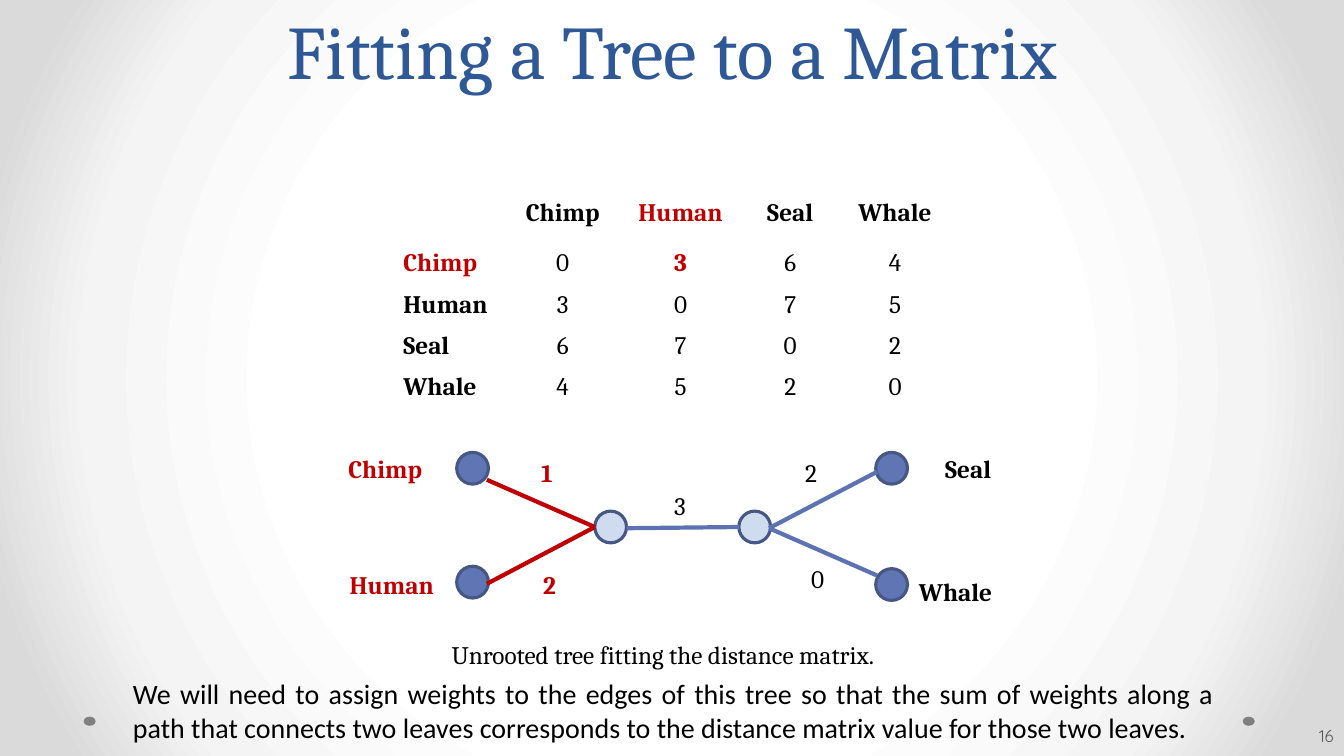
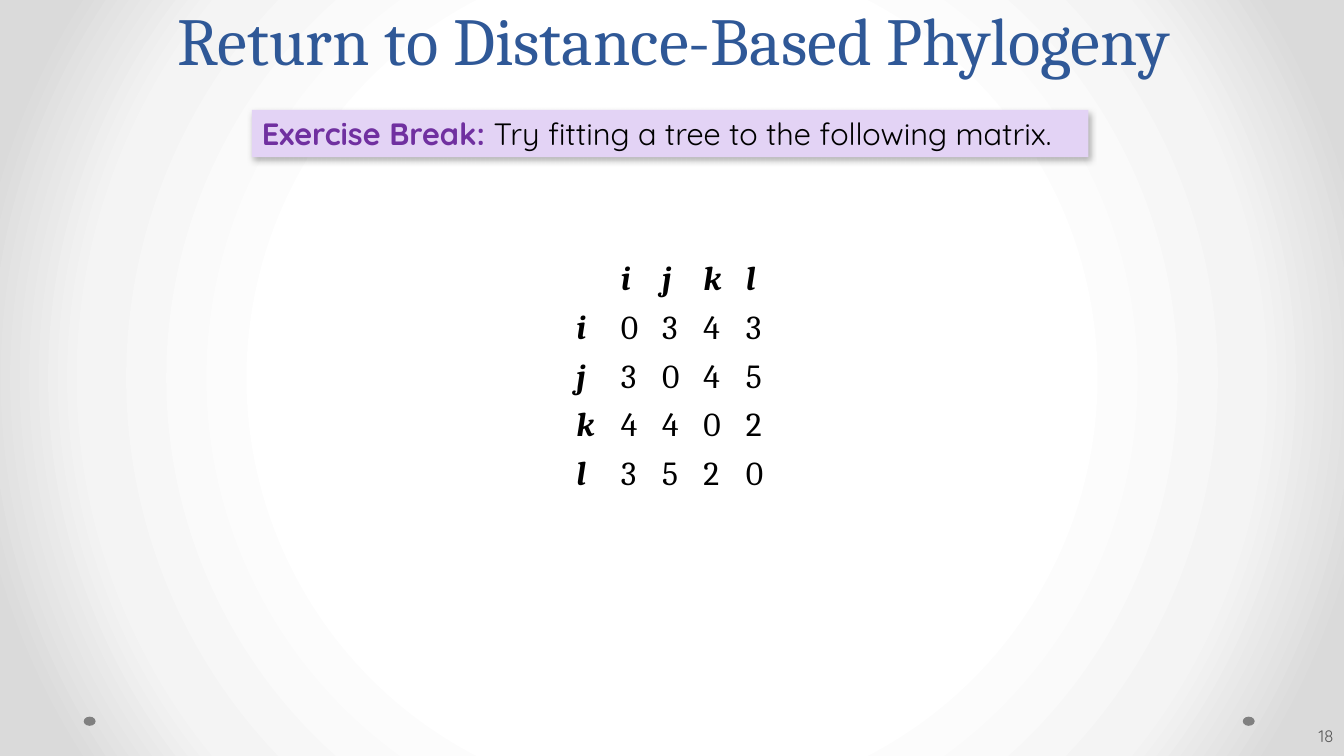
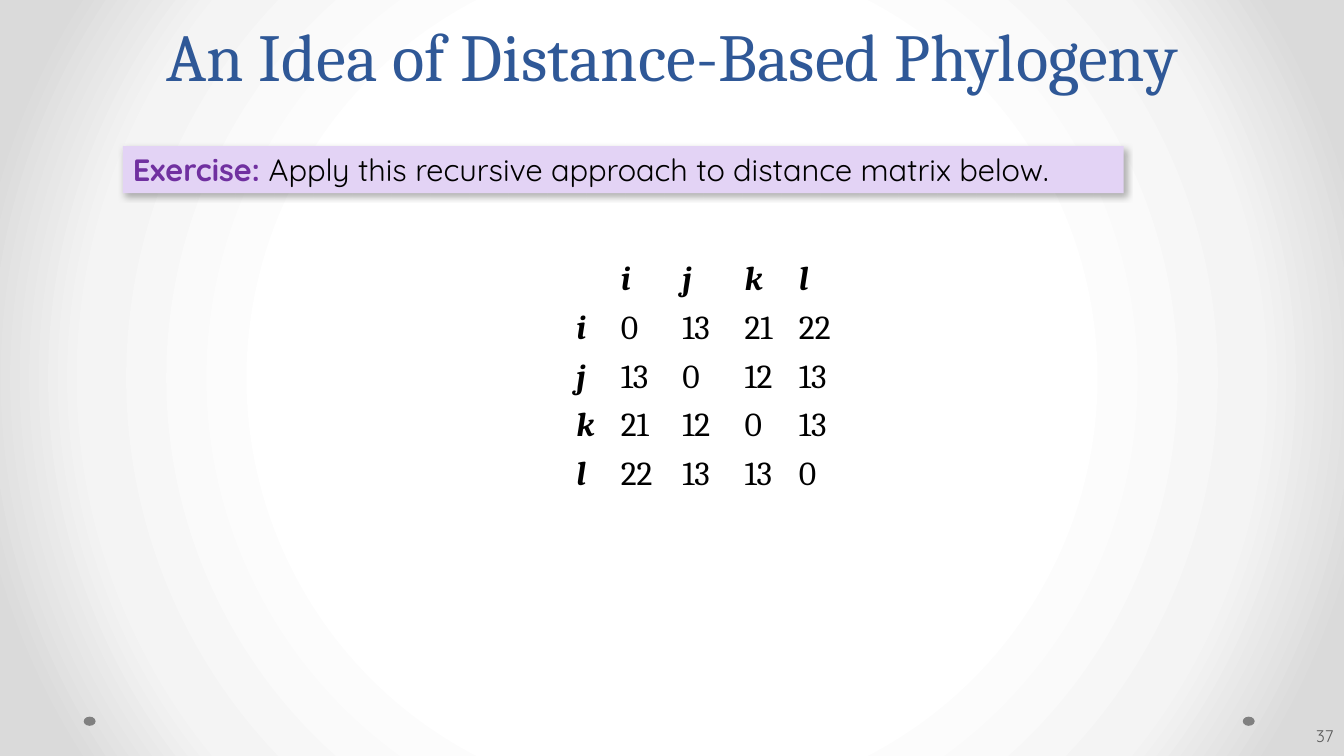
"""Build three slides on fitting trees to distance matrices."""
from dataclasses import dataclass
from typing import NamedTuple

from pptx import Presentation
from pptx.dml.color import RGBColor as Rgb
from pptx.enum.shapes import MSO_CONNECTOR as Link, MSO_SHAPE as Form
from pptx.enum.text import MSO_ANCHOR as Anchor, MSO_AUTO_SIZE as Fit, PP_ALIGN as Align
from pptx.oxml import parse_xml
from pptx.oxml.ns import nsdecls, qn
from pptx.util import Cm, Pt


@dataclass(frozen=True)
class Theme:
    serif: str = "Cambria"
    sans: str = "Quicksand"
    plain: str = "Calibri"
    black: str = "000000"
    red: str = "C00000"
    title: str = "2F5897"
    edge: str = "5C72B2"
    leaf: str = "6076B4"
    inner: str = "CFDCF0"
    rim: str = "475785"
    panel: str = "E3D3F5"
    purple: str = "7030A0"
    dot: str = "808080"
    page: str = "595959"
    glow: tuple = ((50, "FFFFFF"), (76, "F4F4F4"), (92, "DADADA"))
    small: int = 12
    label: int = 18
    note: int = 20
    task: int = 22
    cell: int = 24
    head: int = 48
    big: int = 54
    lead: int = 58
    grid: str = "{2D5ABB26-0587-4C30-8999-92F81FD0307C}"


T = Theme()


class Box(NamedTuple):
    left: float
    top: float
    width: float
    height: float

    def cm(self) -> tuple:
        return tuple(Cm(side) for side in self)


class Node(NamedTuple):
    left: float
    top: float
    fill: str


class Edge(NamedTuple):
    start: tuple
    end: tuple
    tint: str


class Label(NamedTuple):
    text: str
    left: float
    top: float
    width: float = 0.84
    tint: str = T.black
    bold: bool = False


class Matrix(NamedTuple):
    names: tuple
    rows: tuple
    left: float
    top: float
    widths: tuple
    heights: tuple
    size: int = T.cell
    slant: bool = True
    align: Align = Align.LEFT
    marks: tuple = ()


class Task(NamedTuple):
    title: str
    place: Box
    lead: str
    text: str
    panel: Box
    matrix: Matrix
    number: str


HIGH = Box(1.7, 0.03, 30.48, 2.49)
NODE = 0.8
LINE = 1.02
LEFT_HUB, LEFT_OUT = (14.99, 13.28), (15.8, 13.31)
RIGHT_IN, RIGHT_HUB = (18.62, 13.28), (19.38, 13.31)

NODES = (
    Node(11.51, 11.4, T.leaf), Node(11.51, 14.27, T.leaf),
    Node(14.99, 12.88, T.inner), Node(18.62, 12.88, T.inner),
    Node(22.07, 11.4, T.leaf), Node(22.07, 14.33, T.leaf),
)
EDGES = (
    Edge((12.27, 12.09), LEFT_HUB, T.red),
    Edge((12.27, 14.71), LEFT_HUB, T.red),
    Edge(RIGHT_HUB, (22.1, 14.5), T.edge),
    Edge(RIGHT_HUB, (22.1, 11.89), T.edge),
    Edge(LEFT_OUT, RIGHT_IN, T.edge),
)
LABELS = (
    Label("1", 13.39, 11.4, tint=T.red, bold=True),
    Label("3", 16.74, 12.22),
    Label("2", 13.44, 14.22, tint=T.red, bold=True),
    Label("2", 20.04, 11.4),
    Label("0", 20.19, 14.07),
    Label("Chimp", 8.53, 11.3, 2.54, T.red, True),
    Label("Human", 8.56, 14.22, 2.72, T.red, True),
    Label("Whale", 22.91, 14.4, 2.41, bold=True),
    Label("Seal", 23.57, 11.3, 1.75, bold=True),
)
ANIMALS = Matrix(
    ("Chimp", "Human", "Seal", "Whale"),
    ((0, 3, 6, 4), (3, 0, 7, 5), (6, 7, 0, 2), (4, 5, 2, 0)),
    9.91, 4.88, (2.72, 3.1, 2.84, 2.69, 2.59), (1.27,) + (1.04,) * 4,
    T.label, False, Align.CENTER, ((0, 2), (1, 0), (1, 2)),
)
TASKS = (
    Task(
        "Return to Distance-Based Phylogeny", Box(1.75, 0, 30.48, 2.11),
        "Exercise Break: ", "Try fitting a tree to the following matrix.",
        Box(6.35, 2.77, 21.08, 1.19),
        Matrix(
            tuple("ijkl"),
            ((0, 3, 4, 3), (3, 0, 4, 5), (4, 4, 0, 2), (3, 5, 2, 0)),
            14.27, 6.43, (1.12, 1.04, 1.04, 1.07, 1.12), (1.04,) * 5,
        ),
        "18",
    ),
    Task(
        "An Idea of Distance-Based Phylogeny", HIGH,
        "Exercise: ", "Apply this recursive approach to distance matrix below.",
        Box(3.1, 3.68, 25.22, 1.19),
        Matrix(
            tuple("ijkl"),
            ((0, 13, 21, 22), (13, 0, 12, 13), (21, 12, 0, 13), (22, 13, 13, 0)),
            14.27, 6.43, (1.12, 1.55, 1.57, 1.37, 1.37), (1.04,) * 5,
        ),
        "37",
    ),
)


def write(frame, text: str, *, size: int = T.label, font: str = T.serif,
          tint: str = T.black, bold: bool = False, slant: bool = False,
          align: Align = Align.LEFT) -> None:
    para = frame.paragraphs[0]
    para.alignment = align
    run = para.add_run()
    run.text = text
    run.font.size, run.font.name = Pt(size), font
    run.font.bold, run.font.italic = bold, slant
    run.font.color.rgb = Rgb.from_string(tint)


def add_text(shapes, box: Box, text: str, *, wrap: bool = False, **style):
    frame = shapes.add_textbox(*box.cm()).text_frame
    frame.word_wrap = wrap
    frame.auto_size = Fit.SHAPE_TO_FIT_TEXT
    write(frame, text, **style)
    return frame


def add_form(shapes, form: Form, box: Box, fill: str, rim: str = ""):
    shape = shapes.add_shape(form, *box.cm())
    shape.shadow.inherit = False
    shape.fill.solid()
    shape.fill.fore_color.rgb = Rgb.from_string(fill)
    if rim:
        shape.line.color.rgb = Rgb.from_string(rim)
        shape.line.width = Pt(2.25)
    else:
        shape.line.fill.background()
    return shape


def add_edge(shapes, edge: Edge) -> None:
    ends = (Cm(side) for side in edge.start + edge.end)
    line = shapes.add_connector(Link.STRAIGHT, *ends)
    line.line.color.rgb = Rgb.from_string(edge.tint)
    line.line.width = Pt(3)
    line.element.spPr.append(parse_xml(f"<a:effectLst {nsdecls('a')}/>"))


def add_matrix(shapes, data: Matrix) -> None:
    count = len(data.names) + 1
    box = Box(data.left, data.top, sum(data.widths), sum(data.heights))
    frame = shapes.add_table(count, count, *box.cm())
    for style in frame.element.iter(qn("a:tableStyleId")):
        style.text = T.grid
    table = frame.table
    table.first_row = table.horz_banding = False
    for column, width in zip(table.columns, data.widths):
        column.width = Cm(width)
    for row, height in zip(table.rows, data.heights):
        row.height = Cm(height)
    body = [(name, *row) for name, row in zip(data.names, data.rows)]
    for y, row in enumerate([("", *data.names), *body]):
        for x, value in enumerate(row):
            cell = table.cell(y, x)
            cell.fill.background()
            if value == "":
                continue
            head, mark = x == 0 or y == 0, (y, x) in data.marks
            write(cell.text_frame, str(value), size=data.size,
                  tint=T.red if mark else T.black, bold=head or mark,
                  slant=head and data.slant,
                  align=data.align if x else Align.LEFT)


def add_panel(shapes, task: Task) -> None:
    panel = add_form(shapes, Form.RECTANGLE, task.panel, T.panel)
    panel.element.spPr.find(qn("a:effectLst")).append(parse_xml(
        f'<a:outerShdw {nsdecls("a")} blurRad="{Pt(4.5)}" dist="{Pt(2.6)}" '
        f'dir="3180000" algn="tl" rotWithShape="0"><a:srgbClr val="{T.black}">'
        '<a:alpha val="30000"/></a:srgbClr></a:outerShdw>'))
    frame = panel.text_frame
    frame.vertical_anchor = Anchor.TOP
    write(frame, task.lead, size=T.task, font=T.sans, tint=T.purple, bold=True)
    write(frame, task.text, size=T.task, font=T.sans)


def set_master(deck, slide) -> None:
    root = deck.slide_master.element.cSld
    stops = "".join(f'<a:gs pos="{spot * 1000}"><a:srgbClr val="{tint}"/></a:gs>'
                    for spot, tint in T.glow)
    if root.bg is not None:
        root.remove(root.bg)
    root.insert(0, parse_xml(
        f'<p:bg {nsdecls("p", "a")}><p:bgPr><a:gradFill rotWithShape="1">'
        f'<a:gsLst>{stops}</a:gsLst><a:path path="circle">'
        '<a:fillToRect l="50000" t="50000" r="50000" b="50000"/></a:path>'
        '</a:gradFill><a:effectLst/></p:bgPr></p:bg>'))
    for left in (31.32, 2.11):
        dot = add_form(slide.shapes, Form.OVAL, Box(left, 18.06, 0.3, 0.23), T.dot)
        root.spTree.append(dot.element)


def add_slide(deck, title: str, place: Box, number: str, size: int = T.head):
    slide = deck.slides.add_slide(deck.slide_layouts[5])
    head = slide.shapes.title
    head.left, head.top, head.width, head.height = place.cm()
    frame = head.text_frame
    frame.auto_size, frame.vertical_anchor = Fit.NONE, Anchor.BOTTOM
    write(frame, title, size=size, tint=T.title, align=Align.CENTER)
    frame.paragraphs[0].line_spacing = Pt(T.lead)
    foot = add_text(slide.shapes, Box(26.24, 18.03, 7.62, LINE), number, wrap=True,
                    size=T.small, font=T.sans, tint=T.page, align=Align.RIGHT)
    foot.auto_size, foot.vertical_anchor = Fit.NONE, Anchor.MIDDLE
    foot.margin_left = Cm(0.08)
    return slide


def add_tree(shapes) -> None:
    tree = shapes.add_group_shape().shapes
    for node in NODES:
        add_form(tree, Form.OVAL, Box(node.left, node.top, NODE, NODE), node.fill, T.rim)
    for edge in EDGES:
        add_edge(tree, edge)
    for label in LABELS:
        add_text(tree, Box(label.left, label.top, label.width, LINE), label.text,
                 tint=label.tint, bold=label.bold)


def main() -> None:
    deck = Presentation()
    deck.slide_width, deck.slide_height = Cm(33.87), Cm(19.05)
    slide = add_slide(deck, "Fitting a Tree to a Matrix", HIGH, "16", T.big)
    set_master(deck, slide)
    add_matrix(slide.shapes, ANIMALS)
    add_tree(slide.shapes)
    add_text(slide.shapes, Box(11.13, 15.98, 12.14, LINE),
             "Unrooted tree fitting the distance matrix.")
    add_text(slide.shapes, Box(3.1, 16.92, 27.74, 1.96),
             "We will need to assign weights to the edges of this tree so that "
             "the sum of weights along a path that connects two leaves corresponds "
             "to the distance matrix value for those two leaves.",
             wrap=True, size=T.note, font=T.plain, align=Align.JUSTIFY)
    for task in TASKS:
        slide = add_slide(deck, task.title, task.place, task.number)
        add_matrix(slide.shapes, task.matrix)
        add_panel(slide.shapes, task)
    deck.save("out.pptx")


if __name__ == "__main__":
    main()
